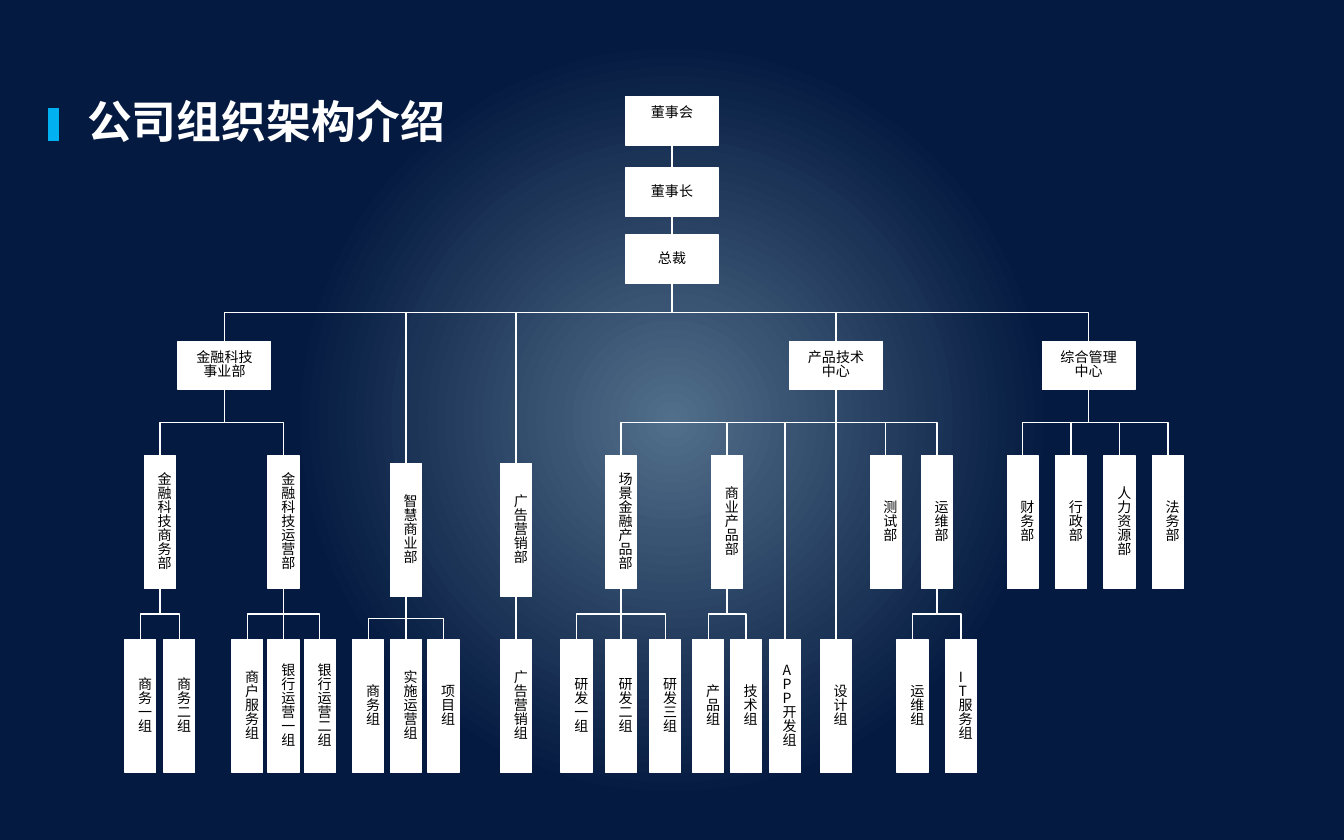
from pptx import Presentation, oxml
from pptx import util as u
from pptx.dml.color import RGBColor
from pptx.enum import shapes, text
from pptx.oxml import ns

COLORS = {"glow": "516E8A", "night": "041A40", "accent": "00B0F0",
          "white": "FFFFFF", "black": "000000"}
FONT = "Noto Sans CJK SC"
CELL = 0.1  # grid of 100 columns by 62.5 rows

# Box sizes and row tops, in grid cells
WIDE, TALL = (6.9, 3.6), (2.3, 9.9)
UNIT_ROW, DEPT_ROW, LOW_DEPT_ROW, GROUP_ROW = 25.4, 33.9, 34.5, 47.6
PRESIDENT_BEND, UNIT_BEND, DEPT_BEND = 2.15, 2.42, 1.9

# Leaders: name, top row, extra bottom margin
LEADERS = [("董事会", 7.2, 1.2), ("董事长", 12.5, 0), ("总裁", 17.5, 0)]
# Units: name, centre column
UNITS = [("金融科技事业部", 16.7), ("产品技术中心", 62.2), ("综合管理中心", 81)]
# Departments: parent, name, centre column, gap between groups, groups
DEPARTMENTS = [
    ("金融科技事业部", "金融科技商务部", 11.9, 2.9, ["商务\n一组", "商务\n二组"]),
    ("金融科技事业部", "金融科技运营部", 21.1, 2.7,
     ["商户服务组", "银行运营一组", "银行运营二组"]),
    ("总裁", "智慧商业部", 30.2, 2.8, ["商务\n组", "实施运营组", "项目组"]),
    ("总裁", "广告营销部", 38.4, 0, ["广告营销组"]),
    ("产品技术中心", "场景金融产品部", 46.2, 3.3, ["研发一组", "研发二组", "研发三组"]),
    ("产品技术中心", "商业产品部", 54.1, 2.8, ["产品组", "技术组"]),
    ("产品技术中心", "测试部", 65.9, 0, []),
    ("产品技术中心", "运维部", 69.7, 3.6, ["运维组", "IT服务组"]),
    ("综合管理中心", "财务部", 76.1, 0, []),
    ("综合管理中心", "行政部", 79.7, 0, []),
    ("综合管理中心", "人力资源部", 83.3, 0, []),
    ("综合管理中心", "法务部", 86.9, 0, []),
]
# Groups that report straight to a unit: parent, name, centre column
DIRECT_GROUPS = [("产品技术中心", "APP开发组", 58.4), ("产品技术中心", "设计组", 62.2)]


def cells(count):
    return u.Inches(count * CELL)


def color(name):
    return RGBColor.from_string(COLORS[name])


def set_background(page):
    stops = [(0, "glow"), (48, "night"), (73, "night"), (97, "night")]
    marks = "".join(f'<a:gs pos="{pos * 1000}"><a:srgbClr val="{COLORS[name]}"/></a:gs>'
                    for pos, name in stops)
    page.element.cSld.insert(0, oxml.parse_xml(
        f'<p:bg {ns.nsdecls("p", "a")}><p:bgPr><a:gradFill rotWithShape="1">'
        f'<a:gsLst>{marks}</a:gsLst><a:path path="circle">'
        '<a:fillToRect l="50000" t="50000" r="50000" b="50000"/></a:path>'
        '</a:gradFill><a:effectLst/></p:bgPr></p:bg>'))


def format_text(frame, size, tint, bold=False):
    for para in frame.paragraphs:
        for span in para.runs:
            span.font.size = u.Pt(size)
            span.font.bold = bold
            span.font.color.rgb = color(tint)
            span.font.name = FONT
            span.font.element.append(
                oxml.parse_xml(f'<a:ea {ns.nsdecls("a")} typeface="{FONT}"/>')
            ) if hasattr(span.font, "element") else span.font._element.append(
                oxml.parse_xml(f'<a:ea {ns.nsdecls("a")} typeface="{FONT}"/>'))


def add_box(page, name, center, top, size, extra_bottom=0):
    width, height = size
    box = page.shapes.add_shape(shapes.MSO_SHAPE.RECTANGLE, cells(center - width / 2),
                                cells(top), cells(width), cells(height))
    box.shadow.inherit = False
    box.fill.solid()
    box.fill.fore_color.rgb = color("white")
    box.line.color.rgb = color("white")
    box.line.width = u.Pt(0.75)
    frame = box.text_frame
    frame.word_wrap = True
    frame.vertical_anchor = text.MSO_ANCHOR.MIDDLE
    frame.margin_bottom = cells(0.5 + extra_bottom)
    frame.text = name
    for para in frame.paragraphs:
        para.alignment = text.PP_ALIGN.CENTER
        para.line_spacing = 0.84
    format_text(frame, 7.5, "black")
    return box


def style_line(line, tint, width):
    line.line.color.rgb = color(tint)
    line.line.width = u.Pt(width)
    line._element.spPr.append(oxml.parse_xml(f'<a:effectLst {ns.nsdecls("a")}/>'))


def link(page, parent, child, bend):
    """Elbow from the foot of parent to the head of child, turning after bend rows."""
    line = page.shapes.add_connector(shapes.MSO_CONNECTOR.ELBOW, 0, 0, 0, 0)
    line.begin_connect(parent, 2)
    line.end_connect(child, 0)
    start = parent.left + parent.width // 2
    end = child.left + child.width // 2
    foot = parent.top + parent.height
    across, down = abs(end - start), child.top - foot
    # A downward elbow is a sideways one turned by a quarter
    frame = line._element.spPr.get_or_add_xfrm()
    frame.attrib.clear()
    frame.set("rot", "16200000" if end > start else "5400000")
    if end > start:
        frame.set("flipH", "1")
    line.left = (start + end - down) // 2
    line.top = foot + (down - across) // 2
    line.width, line.height = down, across
    guides = line._element.spPr.prstGeom.get_or_add_avLst()
    guides.append(oxml.parse_xml(
        f'<a:gd {ns.nsdecls("a")} name="adj1" fmla="val {round(cells(bend) / down * 100000)}"/>'))
    style_line(line, "white", 0.75)


def add_title(page):
    mark = page.shapes.add_connector(shapes.MSO_CONNECTOR.STRAIGHT,
                                     cells(4), cells(8), cells(4), cells(10.5))
    style_line(mark, "accent", 6)
    box = page.shapes.add_textbox(cells(5.5), cells(6.5), cells(28.7), cells(5))
    box.text_frame.word_wrap = False
    box.text_frame.text = "公司组织架构介绍"
    format_text(box.text_frame, 24, "white", bold=True)


def add_chart_of_staff(page):
    boxes = {}
    # Leaders, one under the other
    above = None
    for name, top, extra in LEADERS:
        boxes[name] = add_box(page, name, 50, top, WIDE, extra)
        if above:
            link(page, above, boxes[name], 0.8)
        above = boxes[name]
    # Units
    for name, center in UNITS:
        boxes[name] = add_box(page, name, center, UNIT_ROW, WIDE)
        link(page, boxes["总裁"], boxes[name], PRESIDENT_BEND)
    # Departments, each with its groups centred below
    for parent, name, center, gap, groups in DEPARTMENTS:
        direct = parent == "总裁"
        dept = add_box(page, name, center, LOW_DEPT_ROW if direct else DEPT_ROW, TALL)
        link(page, boxes[parent], dept, PRESIDENT_BEND if direct else UNIT_BEND)
        for i, group in enumerate(groups):
            offset = (i - (len(groups) - 1) / 2) * gap
            box = add_box(page, group, center + offset, GROUP_ROW, TALL)
            link(page, dept, box, 1.6 if direct else DEPT_BEND)
    for parent, name, center in DIRECT_GROUPS:
        link(page, boxes[parent], add_box(page, name, center, GROUP_ROW, TALL), UNIT_BEND)


def main():
    deck = Presentation()
    deck.slide_width, deck.slide_height = cells(100), cells(62.5)
    page = deck.slides.add_slide(deck.slide_layouts[6])
    set_background(page)
    add_title(page)
    add_chart_of_staff(page)
    deck.save("out.pptx")


if __name__ == "__main__":
    main()
